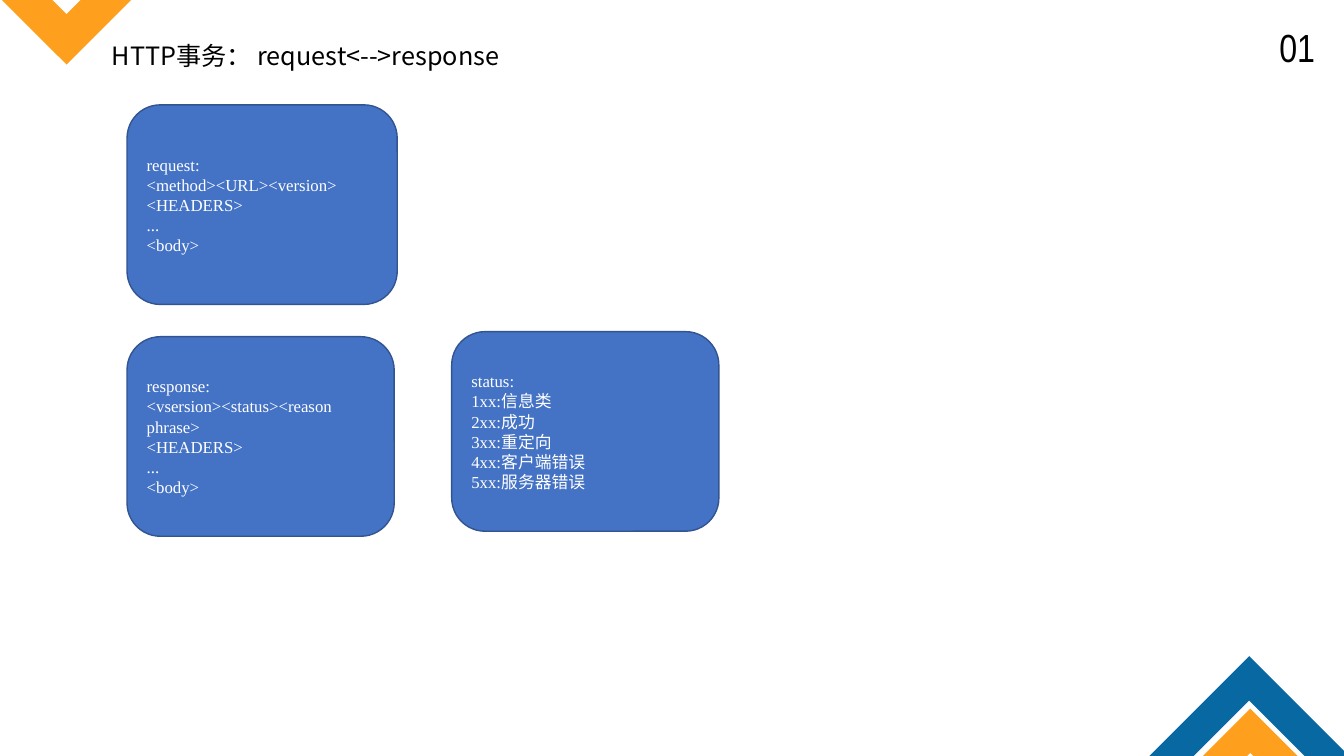
from dataclasses import dataclass

from lxml import etree
from pptx import Presentation
from pptx.dml.color import RGBColor
from pptx.enum.shapes import MSO_SHAPE
from pptx.enum.text import MSO_ANCHOR, MSO_AUTO_SIZE, PP_ALIGN
from pptx.oxml.ns import qn
from pptx.slide import Slide
from pptx.text.text import TextFrame
from pptx.util import Inches, Pt

ROUNDED = MSO_SHAPE.ROUNDED_RECTANGLE
MIDDLE = MSO_ANCHOR.MIDDLE
GROW = MSO_AUTO_SIZE.SHAPE_TO_FIT_TEXT
LEFT, CENTER = PP_ALIGN.LEFT, PP_ALIGN.CENTER
DOWN, UP = 1, -1


@dataclass(frozen=True)
class Theme:
    orange: str = "FEA01E"
    blue: str = "0868A1"
    card_fill: str = "4472C4"
    card_line: str = "325491"
    dark: str = "000000"
    light: str = "FFFFFF"
    number_font: str = "Arial Narrow"
    title_font: str = "Noto Sans CJK SC"
    card_font: str = "Times New Roman"
    chinese_font: str = "Noto Sans CJK SC"
    number_size: int = 28
    title_size: int = 18
    card_size: int = 12


THEME = Theme()


@dataclass(frozen=True)
class Chevron:
    tip_x: float
    tip_y: float
    reach: float
    edge: float
    direction: int
    color: str


@dataclass(frozen=True)
class Label:
    text: str
    left: float
    top: float
    width: float
    height: float
    font: str
    size: int
    align: PP_ALIGN
    wrap: bool


@dataclass(frozen=True)
class Card:
    left: float
    top: float
    width: float
    lines: tuple[str, ...]
    height: float = 1.98


CHEVRONS = (
    Chevron(0.66, 0.64, 1.37, 0.25, DOWN, THEME.orange),
    Chevron(12.4, 7.03, 1.18, 0.22, UP, THEME.orange),
    Chevron(12.39, 6.51, 1.7, 0.22, UP, THEME.blue),
)

LABELS = (
    Label("01", 12.51, 0.18, 0.71, 0.57,
          THEME.number_font, THEME.number_size, CENTER, True),
    Label("HTTP事务： request<-->response", 1.01, 0.35, 4.22, 0.4,
          THEME.title_font, THEME.title_size, LEFT, False),
)

CARDS = (
    Card(1.26, 1.04, 2.68,
         ("request:", "<method><URL><version>", "<HEADERS>", "...", "<body>")),
    Card(1.26, 3.34, 2.65,
         ("response:", "<vsersion><status><reason phrase>", "<HEADERS>", "...", "<body>")),
    Card(4.48, 3.29, 2.65,
         ("status:", "1xx:信息类", "2xx:成功", "3xx:重定向", "4xx:客户端错误", "5xx:服务器错误")),
)


def write_text(frame: TextFrame, text: str, font: str, size: int,
               color: str, align: PP_ALIGN) -> None:
    frame.text = text
    for para in frame.paragraphs:
        para.alignment = align
        for span in para.runs:
            span.font.size = Pt(size)
            span.font.color.rgb = RGBColor.from_string(color)
            span.font.name = font
            properties = span._r.get_or_add_rPr()
            etree.SubElement(properties, qn("a:ea"), typeface=THEME.chinese_font)


def draw_chevron(page: Slide, chevron: Chevron) -> None:
    reach, edge = chevron.reach, chevron.edge
    offsets = (
        (0, 0), (reach, reach), (reach - edge, reach + edge),
        (0, 2 * edge), (edge - reach, reach + edge), (-reach, reach),
    )
    points = [
        (Inches(chevron.tip_x + across), Inches(chevron.tip_y - chevron.direction * back))
        for across, back in offsets
    ]
    builder = page.shapes.build_freeform(*points[0])
    builder.add_line_segments(points[1:], close=True)
    outline = builder.convert_to_shape()
    outline.shadow.inherit = False
    outline.fill.solid()
    outline.fill.fore_color.rgb = RGBColor.from_string(chevron.color)
    outline.line.fill.background()


def draw_label(page: Slide, label: Label) -> None:
    box = page.shapes.add_textbox(
        Inches(label.left), Inches(label.top), Inches(label.width), Inches(label.height))
    frame = box.text_frame
    frame.word_wrap = label.wrap
    frame.auto_size = GROW
    write_text(frame, label.text, label.font, label.size, THEME.dark, label.align)


def draw_card(page: Slide, card: Card) -> None:
    box = page.shapes.add_shape(
        ROUNDED, Inches(card.left), Inches(card.top), Inches(card.width), Inches(card.height))
    box.shadow.inherit = False
    box.fill.solid()
    box.fill.fore_color.rgb = RGBColor.from_string(THEME.card_fill)
    box.line.color.rgb = RGBColor.from_string(THEME.card_line)
    box.line.width = Pt(1)
    frame = box.text_frame
    frame.word_wrap = True
    frame.vertical_anchor = MIDDLE
    write_text(frame, "\n".join(card.lines), THEME.card_font, THEME.card_size,
               THEME.light, LEFT)


def main() -> None:
    deck = Presentation()
    deck.slide_width = Inches(13.33)
    deck.slide_height = Inches(7.5)
    page = deck.slides.add_slide(deck.slide_layouts[6])
    for chevron in CHEVRONS:
        draw_chevron(page, chevron)
    for label in LABELS:
        draw_label(page, label)
    for card in CARDS:
        draw_card(page, card)
    deck.save("out.pptx")


if __name__ == "__main__":
    main()
